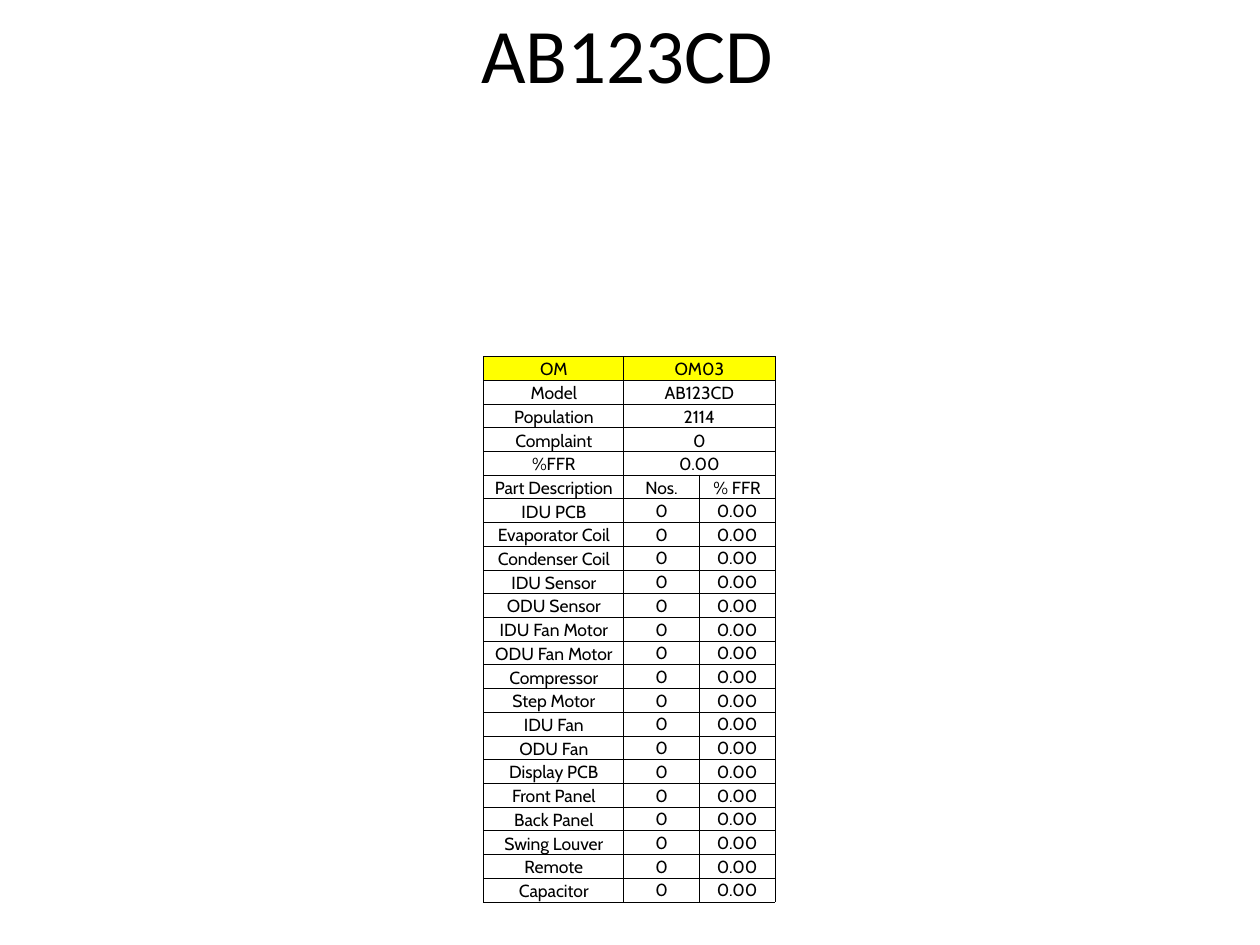
from dataclasses import dataclass

from lxml import etree
from pptx import Presentation, util as u
from pptx.dml.color import RGBColor
from pptx.enum import text
from pptx.oxml.ns import qn

SLIDE_W, SLIDE_H = 10, 7.5
BLACK, YELLOW = "000000", "FFFF00"
TABLE_LEFT, TABLE_TOP, TABLE_H = 3.84, 2.83, 4.33
COLUMN_WIDTHS = (1.11, 0.6, 0.6)
BORDER_PT = 0.5
MIDDLE, BOTTOM = text.MSO_ANCHOR.MIDDLE, text.MSO_ANCHOR.BOTTOM

MODEL = "AB123CD"
PARTS = (
    "IDU PCB", "Evaporator Coil", "Condenser Coil", "IDU Sensor", "ODU Sensor",
    "IDU Fan Motor", "ODU Fan Motor", "Compressor", "Step Motor", "IDU Fan",
    "ODU Fan", "Display PCB", "Front Panel", "Back Panel", "Swing Louver",
    "Remote", "Capacitor",
)


@dataclass(frozen=True)
class Row:
    """A table row; a single value spans both value columns."""
    label: str
    values: tuple[str, ...]
    fill: str | None = None
    value_anchor: text.MSO_ANCHOR = BOTTOM


ROWS = [
    Row("OM", ("OM03",), YELLOW),
    Row("Model", (MODEL,)),
    Row("Population", ("2114",)),
    Row("Complaint", ("0",)),
    Row("%FFR", ("0.00",)),
    Row("Part Description", ("Nos.", "% FFR")),
    *(Row(part, ("0", "0.00"), value_anchor=MIDDLE) for part in PARTS),
]


def rgb(value: str) -> RGBColor:
    return RGBColor.from_string(value)


def write(frame, words: str, font_name: str, size: float) -> None:
    paragraph = frame.paragraphs[0]
    paragraph.alignment = text.PP_ALIGN.CENTER
    run = paragraph.add_run()
    run.text = words
    for name, value in {"name": font_name, "size": u.Pt(size), "bold": False}.items():
        setattr(run.font, name, value)
    run.font.color.rgb = rgb(BLACK)


def format_cell(cell, fill: str | None, anchor: text.MSO_ANCHOR) -> None:
    inset = u.Inches(0.01)
    settings = {"margin_left": inset, "margin_top": inset, "margin_right": inset,
                "margin_bottom": 0, "vertical_anchor": anchor}
    for name, value in settings.items():
        setattr(cell, name, value)
    if fill:
        cell.fill.solid()
        cell.fill.fore_color.rgb = rgb(fill)
    else:
        cell.fill.background()
    properties = cell._tc.get_or_add_tcPr()
    for position, side in enumerate(("lnL", "lnR", "lnT", "lnB")):
        line = etree.Element(qn(f"a:{side}"), w=str(u.Pt(BORDER_PT)))
        solid = etree.SubElement(line, qn("a:solidFill"))
        etree.SubElement(solid, qn("a:srgbClr"), val=BLACK)
        properties.insert(position, line)


def add_parts_table(slide, rows: list[Row]) -> None:
    table = slide.shapes.add_table(
        len(rows), len(COLUMN_WIDTHS), u.Inches(TABLE_LEFT), u.Inches(TABLE_TOP),
        u.Inches(sum(COLUMN_WIDTHS)), u.Inches(TABLE_H)).table
    table.first_row = table.horz_banding = False
    for column, width in zip(table.columns, COLUMN_WIDTHS):
        column.width = u.Inches(width)
    for index, row in enumerate(rows):
        table.rows[index].height = u.Inches(TABLE_H / len(rows))
        cells = [table.cell(index, column) for column in range(len(COLUMN_WIDTHS))]
        for column, cell in enumerate(cells):
            format_cell(cell, row.fill, row.value_anchor if column else BOTTOM)
        if len(row.values) == 1:
            cells[1].merge(cells[2])
        for cell, words in zip(cells, (row.label, *row.values)):
            write(cell.text_frame, words, "Cabin", 10)


def add_title(slide, words: str) -> None:
    title = slide.shapes.title
    box = {"left": 0.48, "top": 0.17, "width": 0.9 * SLIDE_W, "height": SLIDE_H / 15}
    for name, value in box.items():
        setattr(title, name, u.Inches(value))
    frame = title.text_frame
    frame.auto_size = text.MSO_AUTO_SIZE.NONE
    frame.vertical_anchor = MIDDLE
    write(frame, words, "Calibri", 44)


def main() -> None:
    deck = Presentation()
    deck.slide_width, deck.slide_height = u.Inches(SLIDE_W), u.Inches(SLIDE_H)
    slide = deck.slides.add_slide(deck.slide_layouts.get_by_name("Title Only"))
    add_title(slide, MODEL)
    add_parts_table(slide, ROWS)
    deck.save("out.pptx")


if __name__ == "__main__":
    main()
